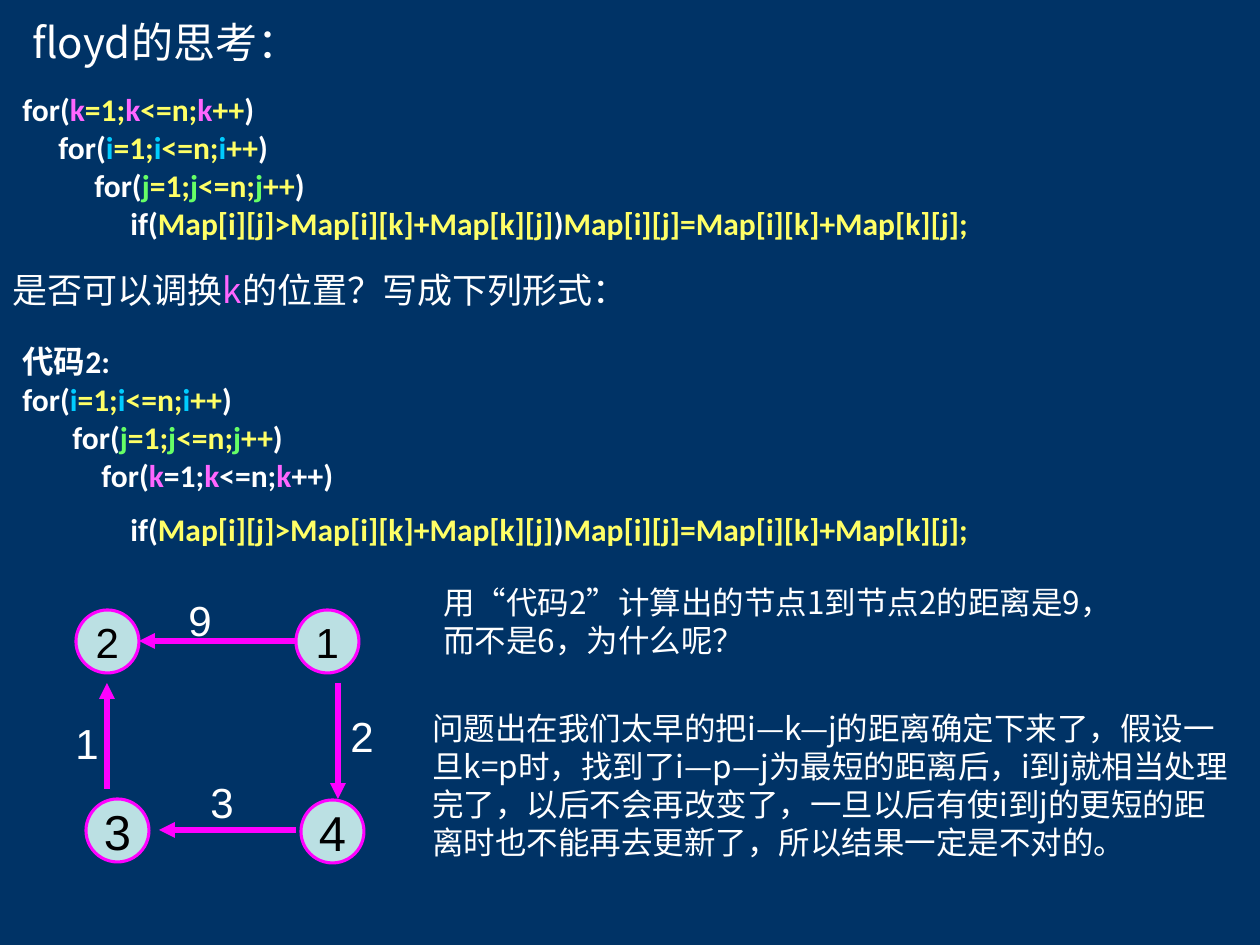
from pptx import Presentation
from pptx.dml.color import RGBColor
from pptx.enum import shapes, text
from pptx.oxml.ns import qn
from pptx.util import Pt
from lxml import etree

HUES = {"back": "003366", "white": "FFFFFF", "gold": "FFFF66", "k": "FF66FF",
        "i": "00CCFF", "j": "66FF66", "node": "BBE0E3", "edge": "FF00FF", "black": "000000"}
rgb = {name: RGBColor.from_string(hue) for name, hue in HUES.items()}
SANS = "Noto Sans CJK SC"


def px(n):
    return round(n * 914400 / 126)


def write(frame, lines, size, face, bold=False):
    for n, (indent, above, runs) in enumerate(lines):
        para = frame.paragraphs[0] if n == 0 else frame.add_paragraph()
        para.space_before = px(above)
        para._p.get_or_add_pPr().set("marL", str(px(indent)))
        for words, hue in runs:
            run = para.add_run()
            run.text = words
            style = {"size": Pt(size), "name": face, "bold": bold}
            for key, value in style.items():
                setattr(run.font, key, value)
            run.font.color.rgb = rgb[hue]
            etree.SubElement(run.font._element, qn("a:ea")).set("typeface", SANS)


deck = Presentation()
deck.slide_width, deck.slide_height = px(1260), px(945)
slide = deck.slides.add_slide(deck.slide_layouts[6])
slide.background.fill.solid()
slide.background.fill.fore_color.rgb = rgb["back"]

loops = {}
for var, hue in (("k", "gold"), ("i", "gold"), ("j", "gold"), ("last", "white")):
    name = "k" if var == "last" else var
    loops[var] = [("for(", "white"), (name, name), ("=1;", hue), (name, name),
                  ("<=n;", hue), (name, name), ("++", hue), (")", "white")]
path_sum = "Map[i][k]+Map[k][j]"
relax = [("if(", "white"), ("Map[i][j]>" + path_sum, "gold"), (")", "white"),
         ("Map[i][j]=" + path_sum + ";", "gold")]

first = [(0, 0, loops["k"]), (36, 0, loops["i"]), (72, 0, loops["j"]), (108, 0, relax)]
second = [(0, 0, [("代码2:", "white")]), (0, 0, loops["i"]), (50, 0, loops["j"]),
          (79, 0, loops["last"]), (108, 17, relax)]
ask = [("是否可以调换", "white"), ("k", "k"), ("的位置？写成下列形式：", "white")]
why = "用“代码2”计算出的节点1到节点2的距离是9，而不是6，为什么呢？"
answer = ("问题出在我们太早的把i—k—j的距离确定下来了，假设一旦k=p时，"
          "找到了i—p—j为最短的距离后，i到j就相当处理完了，以后不会再改变了，"
          "一旦以后有使i到j的更短的距离时也不能再去更新了，所以结果一定是不对的。")

blocks = [
    (10, 10, 703, 63, [(10, 0, [("floyd的思考：", "white")])], 24, SANS, False),
    (10, 84, 1176, 223, first, 18, "Calibri", True),
    (0, 262, 868, 54, [(0, 0, ask)], 20, SANS, False),
    (10, 336, 1176, 223, second, 18, "Calibri", True),
    (431, 577, 703, 88, [(0, 0, [(why, "white")])], 18, SANS, False),
    (420, 703, 823, 164, [(0, 0, [(answer, "white")])], 18, SANS, False),
]
costs = [("2", 338, 704), ("3", 198, 770), ("1", 63, 711), ("9", 176, 588)]
for cost, x, y in costs:
    blocks.append((x, y, 52, 63, [(0, 0, [(cost, "white")])], 24, "Arial", False))

for x, y, w, h, lines, size, face, bold in blocks:
    box = slide.shapes.add_textbox(px(x), px(y), px(w), px(h))
    box.text_frame.word_wrap = True
    write(box.text_frame, lines, size, face, bold)

for x, y, label, size in ((76, 610, "2", 24), (296, 610, "1", 24),
                          (86, 799, "3", 28), (301, 800, "4", 28)):
    node = slide.shapes.add_shape(shapes.MSO_SHAPE.OVAL, px(x), px(y), px(63), px(63))
    node.shadow.inherit = False
    node.fill.solid()
    node.fill.fore_color.rgb = rgb["node"]
    node.line.color.rgb = rgb["edge"]
    node.line.width = Pt(1.75)
    node.text_frame.word_wrap = False
    node.text_frame.vertical_anchor = text.MSO_ANCHOR.MIDDLE
    write(node.text_frame, [(0, 0, [(label, "black")])], size, "Arial")
    node.text_frame.paragraphs[0].alignment = text.PP_ALIGN.CENTER

for ends in ((296, 641, 139, 641), (107, 789, 107, 683),
             (296, 830, 159, 830), (338, 683, 338, 799)):
    arrow = slide.shapes.add_connector(shapes.MSO_CONNECTOR.STRAIGHT, *map(px, ends))
    arrow.line.color.rgb = rgb["edge"]
    arrow.line.width = Pt(3)
    etree.SubElement(arrow.line._get_or_add_ln(), qn("a:tailEnd")).set("type", "triangle")
    etree.SubElement(arrow._element.spPr, qn("a:effectLst"))

deck.save("out.pptx")
